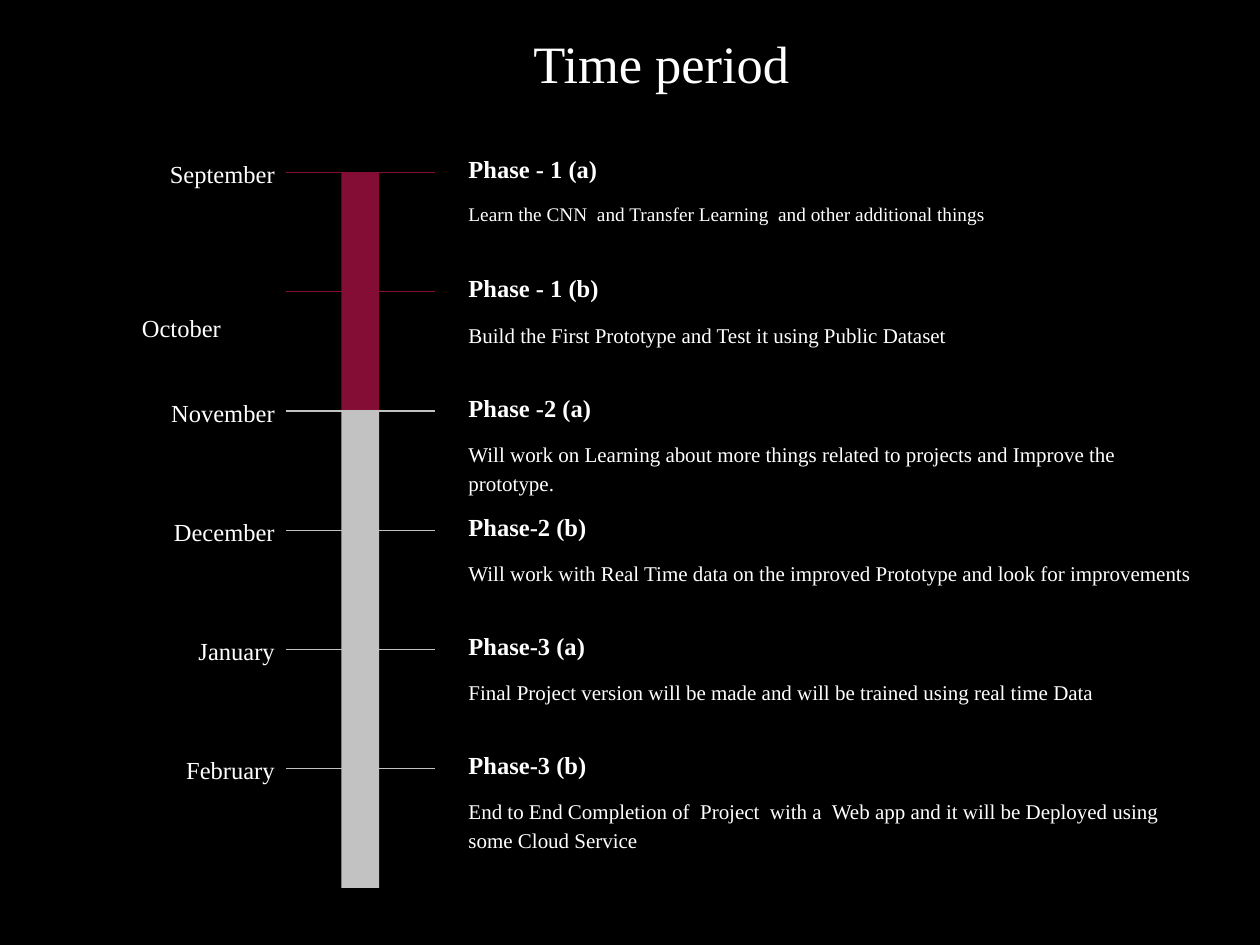
from lxml import etree
from pptx import Presentation
from pptx.dml.color import RGBColor
from pptx.enum.shapes import MSO_CONNECTOR, MSO_SHAPE
from pptx.enum.text import MSO_ANCHOR, MSO_AUTO_SIZE, PP_ALIGN
from pptx.oxml.ns import qn
from pptx.util import Inches, Pt

LEFT, MID, RIGHT = PP_ALIGN.LEFT, PP_ALIGN.CENTER, PP_ALIGN.RIGHT
TOP, MIDDLE = MSO_ANCHOR.TOP, MSO_ANCHOR.MIDDLE
FIXED = MSO_AUTO_SIZE.NONE
RECT, LINE = MSO_SHAPE.RECTANGLE, MSO_CONNECTOR.STRAIGHT

WINE, GREY = "840D35", "C2C2C2"
ROWS = [
    ("September", "Phase - 1 (a)", WINE, 11,
     "Learn the CNN  and Transfer Learning  and other additional things"),
    ("October", "Phase - 1 (b)", WINE, 12,
     "Build the First Prototype and Test it using Public Dataset"),
    ("November", "Phase -2 (a)", GREY, 12,
     "Will work on Learning about more things related to projects and Improve the prototype."),
    ("December", "Phase-2 (b)", GREY, 12,
     "Will work with Real Time data on the improved Prototype and look for improvements"),
    ("January", "Phase-3 (a)", GREY, 12,
     "Final Project version will be made and will be trained using real time Data"),
    ("February", "Phase-3 (b)", GREY, 12,
     "End to End Completion of  Project  with a  Web app and it will be Deployed using some Cloud Service"),
]
FIRST, STEP = 1.37, 4.73 / 5


def paint(color, code):
    color.rgb = RGBColor.from_string(code)


def write(box, text, size, bold=False, **form):
    frame = box.text_frame
    pad = Inches(0.1)
    look = dict(word_wrap=True, auto_size=FIXED, vertical_anchor=TOP,
                margin_left=pad, margin_right=pad, margin_top=pad, margin_bottom=pad)
    para = frame.paragraphs[0]
    para.text = text
    style = dict(alignment=LEFT, line_spacing=1.15)
    for key, val in form.items():
        (look if key in look or key.startswith("margin") else style)[key] = val
    face = dict(name="Times New Roman", size=Pt(size), bold=bold)
    for item, vals in ((frame, look), (para, style), (para.runs[0].font, face)):
        for key, val in vals.items():
            setattr(item, key, val)
    paint(para.runs[0].font.color, "FFFFFF")


deck = Presentation()
deck.slide_width, deck.slide_height = Inches(10), Inches(7.5)
slide = deck.slides.add_slide(deck.slide_layouts[5])
slide.background.fill.solid()
paint(slide.background.fill.fore_color, "000000")

title = slide.shapes.title
spot = dict(left=0.5, top=0.16, width=9, height=0.67)
for key, val in spot.items():
    setattr(title, key, Inches(val))
write(title, "Time period", 30, alignment=MID, line_spacing=1.0, vertical_anchor=MIDDLE,
      margin_top=Inches(0.05), margin_bottom=Inches(0.05))
props = title.text_frame.paragraphs[0]._p.get_or_add_pPr()
props.set("marL", str(Inches(0.5)))
props.set("indent", "0")

for row, (month, phase, code, size, task) in enumerate(ROWS):
    y = FIRST + row * STEP
    group = slide.shapes.add_group_shape().shapes

    head = group.add_textbox(Inches(3.62), Inches(y - 0.28), Inches(6.04), Inches(0.39))
    write(head, phase, 14, bold=True)
    body = group.add_textbox(Inches(3.62), Inches(y + 0.11), Inches(6.04), Inches(0.58))
    write(body, task, size, space_after=Pt(16))

    label = group.add_textbox(Inches(0.6), Inches(y - 0.24), Inches(1.68), Inches(0.49))
    low = month == "October"
    write(label, month, 14, alignment=MID if low else RIGHT,
          margin_top=Inches(0.37 if low else 0.1))

    bar = group.add_shape(RECT, Inches(2.71), Inches(y), Inches(0.3), Inches(STEP))
    bar.shadow.inherit = False
    bar.fill.solid()
    paint(bar.fill.fore_color, code)
    bar.line.fill.background()

    tick = group.add_connector(LINE, Inches(3.45), Inches(y), Inches(2.27), Inches(y))
    tick.line.width = Pt(0.75)
    paint(tick.line.color, code)
    etree.SubElement(tick._element.spPr, qn("a:effectLst"))

deck.save("out.pptx")
